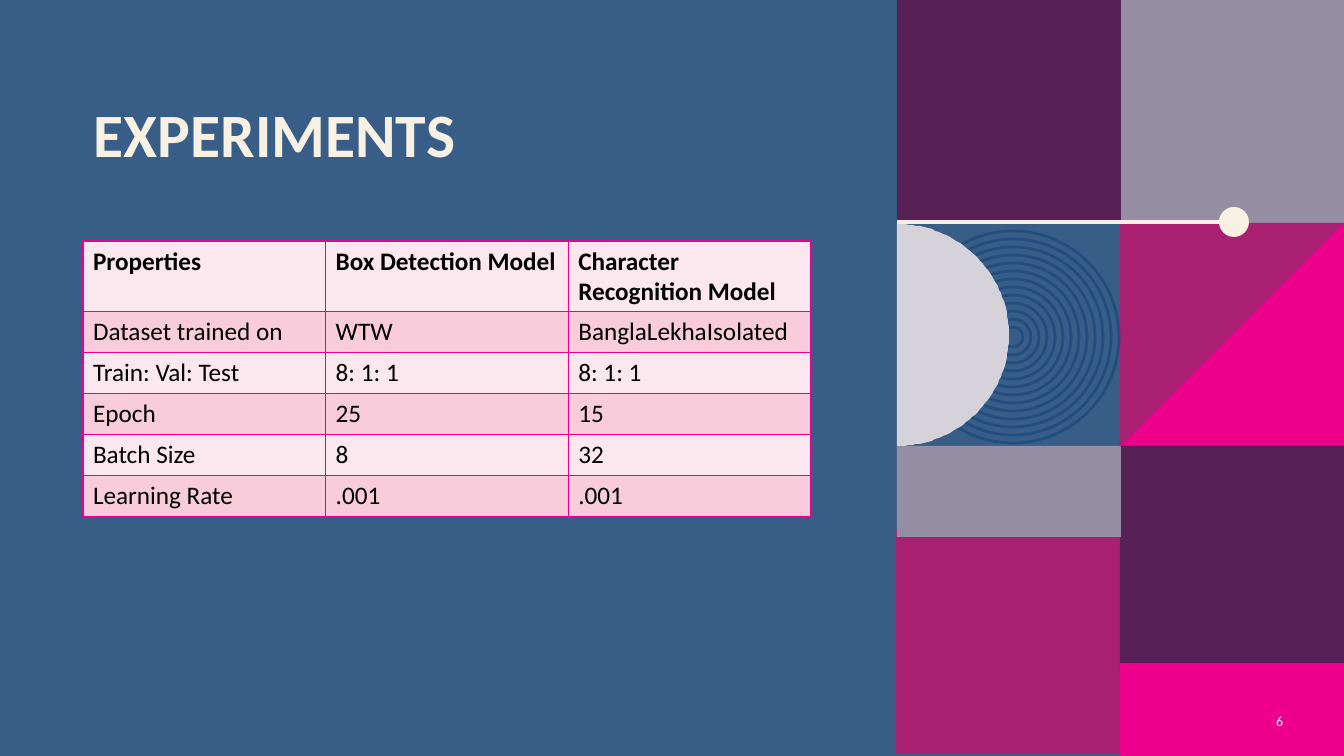
import math
from dataclasses import dataclass

from lxml import etree
from pptx import Presentation
from pptx import util as u
from pptx.dml.color import RGBColor
from pptx.enum import shapes, text
from pptx.oxml.ns import qn

PX = 12192000 / 1344  # EMU per px


@dataclass(frozen=True)
class Theme:
    blue: str = "385E88"
    ring: str = "224E7F"
    pink: str = "EC008C"
    magenta: str = "AA2070"
    plum: str = "582156"
    grey: str = "958EA2"
    pale: str = "D5D2DA"
    cream: str = "F8F0E3"
    white: str = "FFFFFF"
    black: str = "000000"
    bands: tuple = ("FBE7EE", "F8CCDA")
    font: str = "Calibri"
    title_pt: int = 44
    table_pt: int = 18
    number_pt: int = 10
    ring_pt: int = 2
    rule_pt: int = 3
    border_pt: int = 1


T = Theme()

ROWS = [
    ("Properties", "Box Detection Model", "Character Recognition Model"),
    ("Dataset trained on", "WTW", "BanglaLekhaIsolated"),
    ("Train: Val: Test", "8: 1: 1", "8: 1: 1"),
    ("Epoch", "25", "15"),
    ("Batch Size", "8", "32"),
    ("Learning Rate", ".001", ".001"),
]


def px(n):
    return u.Emu(round(n * PX))


def rgb(color):
    return RGBColor.from_string(color)


def paint(sp, color):
    sp.shadow.inherit = False
    sp.fill.solid()
    sp.fill.fore_color.rgb = rgb(color)
    sp.line.fill.background()


def style_text(p, size, color, bold=False):
    for r in p.runs:
        f = r.font
        f.name, f.size, f.bold = T.font, u.Pt(size), bold
        f.color.rgb = rgb(color)


def add_block(s, kind, x, y, w, h, color):
    sp = s.shapes.add_shape(kind, px(x), px(y), px(w), px(h))
    paint(sp, color)
    return sp


def add_polygon(s, points, color):
    fb = s.shapes.build_freeform(*points[0], scale=PX)
    fb.add_line_segments(points[1:], close=True)
    paint(fb.convert_to_shape(), color)


def add_rings(s, cx, cy, diameter, step, count):
    """Concentric outlines, each one smaller than the last by step."""
    for i in range(count):
        d = diameter - i * step
        sp = add_block(s, shapes.MSO_SHAPE.OVAL, cx - d / 2, cy - d / 2, d, d, T.ring)
        sp.fill.background()
        sp.line.color.rgb = rgb(T.ring)
        sp.line.width = u.Pt(T.ring_pt)


def add_half_disc(s, x, y, rx, ry):
    """Right half of an ellipse whose flat side starts at x, y."""
    steps = 90
    angles = [math.pi * i / steps for i in range(steps + 1)]
    add_polygon(s, [(x + rx * math.sin(a), y + ry - ry * math.cos(a)) for a in angles], T.pale)


def add_mosaic(s, x, y, w, h):
    """Two columns of colour tiles with rings, half disc and a pin."""
    tile = w // 2 + 1
    mid, right = x + tile - 1, x + w
    row = y + 223
    tiles = [
        (mid, row, tile, T.pink),
        (mid + 1, y, row - y, T.grey),
        (x, y, row - y, T.plum),
        (x - 1, y + 530, tile, T.magenta),
        (mid, y + 446, tile, T.plum),
        (mid, y + 663, h - 663, T.pink),
        (x, y + 446, 91, T.grey),
    ]
    for left, top, height, color in tiles:
        add_block(s, shapes.MSO_SHAPE.RECTANGLE, left, top, tile, height, color)
    add_polygon(s, [(mid, row), (right, row), (mid, row + tile)], T.magenta)
    add_rings(s, x + 116, y + 337, 212, 16, 13)
    add_half_disc(s, x, y + 224, 112, 111)
    add_pin(s, x, y + 222, 336, 30)


def add_pin(s, x, y, length, dot):
    """Horizontal rule ending in a dot."""
    ln = s.shapes.add_connector(shapes.MSO_CONNECTOR.STRAIGHT, px(x), px(y), px(x + length), px(y))
    ln.line.color.rgb = rgb(T.cream)
    ln.line.width = u.Pt(T.rule_pt)
    etree.SubElement(ln._element.spPr, qn("a:effectLst"))
    add_block(s, shapes.MSO_SHAPE.OVAL, x + length - dot / 2 + 1, y - dot / 2, dot, dot, T.cream)


def add_label(s, x, y, w, h, words, size, color, bold=False):
    tf = s.shapes.add_textbox(px(x), px(y), px(w), px(h)).text_frame
    tf.word_wrap = True
    tf.text = words
    style_text(tf.paragraphs[0], size, color, bold)
    return tf


def add_title(s, x, y, w, h):
    tf = add_label(s, x, y, w, h, "EXPERIMENTS", T.title_pt, T.cream, True)
    tf.paragraphs[0].line_spacing = 0.9


def add_page_number(s, x, y, w, h):
    tf = add_label(s, x, y, w, h, "6", T.number_pt, T.white)
    tf.vertical_anchor = text.MSO_ANCHOR.MIDDLE
    tf.paragraphs[0].alignment = text.PP_ALIGN.RIGHT


def set_borders(cell):
    tc_pr = cell._tc.get_or_add_tcPr()
    for side in ("lnL", "lnR", "lnT", "lnB"):
        ln = etree.SubElement(tc_pr, qn(f"a:{side}"), w=str(u.Pt(T.border_pt)))
        fill = etree.SubElement(ln, qn("a:solidFill"))
        etree.SubElement(fill, qn("a:srgbClr"), val=T.pink)


def add_experiment_table(s, x, y, w, row_h):
    cols = len(ROWS[0])
    tbl = s.shapes.add_table(len(ROWS), cols, px(x), px(y), px(w), px(row_h * len(ROWS))).table
    for col in tbl.columns:
        col.width = px(w / cols)
    for i, row in enumerate(ROWS):
        for j, words in enumerate(row):
            cell = tbl.cell(i, j)
            cell.text = words
            style_text(cell.text_frame.paragraphs[0], T.table_pt, T.black, i == 0)
            set_borders(cell)
            cell.fill.solid()
            cell.fill.fore_color.rgb = rgb(T.bands[i % 2])


def main():
    prs = Presentation()
    prs.slide_width, prs.slide_height = px(1344), px(756)
    s = prs.slides.add_slide(prs.slide_layouts[6])
    s.background.fill.solid()
    s.background.fill.fore_color.rgb = rgb(T.blue)
    add_mosaic(s, 897, 0, 447, 756)
    add_title(s, 84, 99, 727, 219)
    add_page_number(s, 1243, 701, 50, 40)
    add_experiment_table(s, 83, 241, 728, 41)
    prs.save("out.pptx")


if __name__ == "__main__":
    main()
